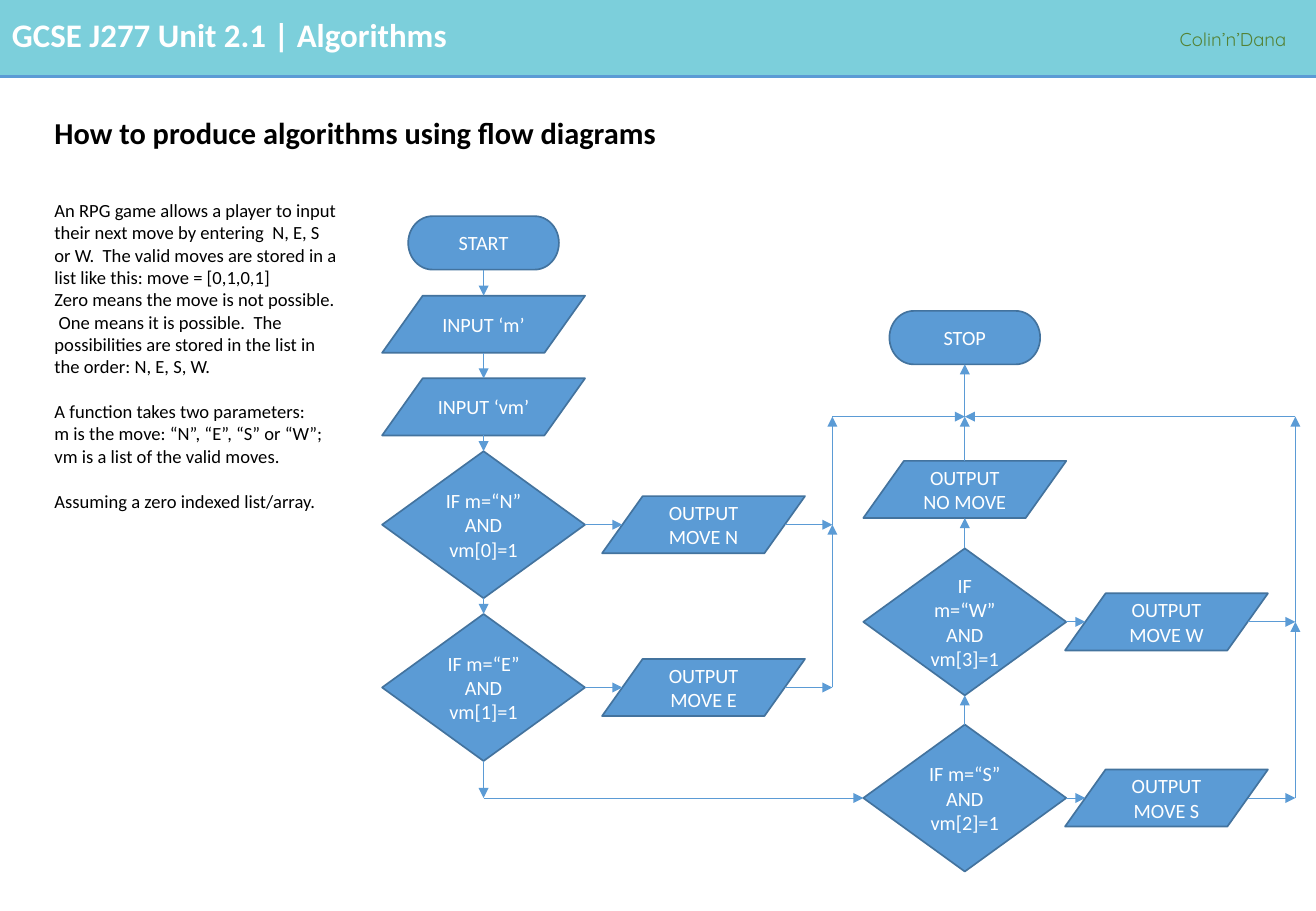
from dataclasses import dataclass
from typing import Union

from lxml.etree import SubElement
from pptx import Presentation
from pptx.dml.color import RGBColor
from pptx.enum.shapes import MSO_CONNECTOR, MSO_SHAPE
from pptx.enum.text import MSO_ANCHOR, PP_ALIGN
from pptx.oxml.ns import qn
from pptx.util import Inches, Pt

BLUE, DARK_BLUE, TEAL = "5B9BD5", "43739E", "7CCFDB"
WHITE, BLACK, GREEN = "FFFFFF", "000000", "548235"
TOP, LEFT, BOTTOM, RIGHT = range(4)

TERMINATOR = MSO_SHAPE.FLOWCHART_TERMINATOR
DATA = MSO_SHAPE.FLOWCHART_DATA
DECISION = MSO_SHAPE.FLOWCHART_DECISION
SIZES = {TERMINATOR: (1.24, 0.44), DATA: (1.67, 0.47), DECISION: (1.67, 1.21)}

# Column centres, merge lines and row centres of the flow diagram
MAIN_X, MOVE_X, MERGE_X = 3.98, 5.79, 6.85
SECOND_X, SECOND_MOVE_X, SECOND_MERGE_X = 7.94, 9.6, 10.66
NORTH_Y, EAST_Y, SOUTH_Y, WEST_Y, JOIN_Y = 4.32, 5.66, 6.57, 5.12, 3.43


@dataclass(frozen=True)
class Node:
    kind: MSO_SHAPE
    x: float
    y: float
    text: str


@dataclass(frozen=True)
class Port:
    node: str
    side: int


@dataclass(frozen=True)
class Point:
    x: float
    y: float


@dataclass(frozen=True)
class Arrow:
    start: Union[Port, Point]
    end: Union[Port, Point]


@dataclass(frozen=True)
class TextBlock:
    box: tuple
    paragraphs: tuple
    font: dict
    color: str
    paragraph_format: dict
    anchor: MSO_ANCHOR = MSO_ANCHOR.TOP
    wrap: bool = True
    gap: float = 0


NODES = {
    "start": Node(TERMINATOR, MAIN_X, 2.0, "START"),
    "input m": Node(DATA, MAIN_X, 2.67, "INPUT ‘m’"),
    "input vm": Node(DATA, MAIN_X, 3.35, "INPUT ‘vm’"),
    "if N": Node(DECISION, MAIN_X, NORTH_Y, "IF m=“N” AND vm[0]=1"),
    "if E": Node(DECISION, MAIN_X, EAST_Y, "IF m=“E” AND vm[1]=1"),
    "if S": Node(DECISION, SECOND_X, SOUTH_Y, "IF m=“S” AND vm[2]=1"),
    "if W": Node(DECISION, SECOND_X, WEST_Y, "IF m=“W” AND vm[3]=1"),
    "move N": Node(DATA, MOVE_X, NORTH_Y, "OUTPUT MOVE N"),
    "move E": Node(DATA, MOVE_X, EAST_Y, "OUTPUT MOVE E"),
    "move S": Node(DATA, SECOND_MOVE_X, SOUTH_Y, "OUTPUT MOVE S"),
    "move W": Node(DATA, SECOND_MOVE_X, WEST_Y, "OUTPUT MOVE W"),
    "no move": Node(DATA, SECOND_X, 4.03, "OUTPUT NO MOVE"),
    "stop": Node(TERMINATOR, SECOND_X, 2.78, "STOP"),
}

JOIN = Point(SECOND_X, JOIN_Y)
TURN = Point(MAIN_X, SOUTH_Y)
DOWNWARD = ("start", "input m", "input vm", "if N", "if E")
UPWARD = ("if S", "if W", "no move")
# Each merge line collects its lower move, then its upper move
MERGES = ((MERGE_X, ("E", EAST_Y), ("N", NORTH_Y)),
          (SECOND_MERGE_X, ("S", SOUTH_Y), ("W", WEST_Y)))

TEXT_BLOCKS = [
    TextBlock((0, 0.07, 9.48, 0.43), ("GCSE J277 Unit 2.1 | Algorithms",),
              {"name": "Calibri", "size": Pt(19.5), "bold": True}, WHITE, {}),
    TextBlock((9.61, 0.17, 1.22, 0.29), ("Colin’n’Dana",),
              {"name": "Quicksand", "size": Pt(11)}, GREEN,
              {"line_spacing": 1.07, "space_after": Pt(8)}, wrap=False),
    TextBlock((0.35, 0.83, 10.1, 0.56),
              ("How to produce algorithms using flow diagrams",),
              {"name": "Calibri", "size": Pt(18), "bold": True}, BLACK,
              {"line_spacing": 0.9}, MSO_ANCHOR.MIDDLE),
    TextBlock((0.35, 1.59, 2.53, 2.69), (
        "An RPG game allows a player to input their next move by entering  N, E, S or W.  "
        "The valid moves are stored in a list like this: move = [0,1,0,1]",
        "Zero means the move is not possible.  One means it is possible.  "
        "The possibilities are stored in the list in the order: N, E, S, W.",
        "A function takes two parameters: \vm is the move: “N”, “E”, “S” or “W”;  "
        "vm is a list of the valid moves.",
        "Assuming a zero indexed list/array."),
        {"name": "Calibri", "size": Pt(11)}, BLACK, {}, gap=13.4),
]


def rgb(color: str) -> RGBColor:
    return RGBColor.from_string(color)


def set_attributes(target, values: dict) -> None:
    for name, value in values.items():
        setattr(target, name, value)


def style_paragraph(paragraph, text: str, font: dict, color: str, layout: dict) -> None:
    paragraph.text = text
    set_attributes(paragraph, layout)
    for run in paragraph.runs:
        set_attributes(run.font, font)
        run.font.color.rgb = rgb(color)


def add_text(slide, block: TextBlock) -> None:
    frame = slide.shapes.add_textbox(*map(Inches, block.box)).text_frame
    set_attributes(frame, {"word_wrap": block.wrap, "vertical_anchor": block.anchor})
    for index, text in enumerate(block.paragraphs):
        paragraph = frame.add_paragraph() if index else frame.paragraphs[0]
        style_paragraph(paragraph, text, block.font, block.color, block.paragraph_format)
        if block.gap and index > 1:
            paragraph.space_before = Pt(block.gap)


def add_filled_shape(slide, kind: MSO_SHAPE, box: tuple, fill: str):
    shape = slide.shapes.add_shape(kind, *map(Inches, box))
    shape.shadow.inherit = False
    shape.fill.solid()
    shape.fill.fore_color.rgb = rgb(fill)
    return shape


def add_node(slide, node: Node):
    width, height = SIZES[node.kind]
    box = (node.x - width / 2, node.y - height / 2, width, height)
    shape = add_filled_shape(slide, node.kind, box, BLUE)
    shape.line.color.rgb = rgb(DARK_BLUE)
    shape.line.width = Pt(1)
    shape.text_frame.vertical_anchor = MSO_ANCHOR.MIDDLE
    style_paragraph(shape.text_frame.paragraphs[0], node.text,
                    {"name": "Calibri", "size": Pt(12)}, WHITE,
                    {"alignment": PP_ALIGN.CENTER})
    return shape


def add_line(slide, start: Point, end: Point, width: float):
    line = slide.shapes.add_connector(
        MSO_CONNECTOR.STRAIGHT, *map(Inches, (start.x, start.y, end.x, end.y)))
    line.line.color.rgb = rgb(BLUE)
    line.line.width = Pt(width)
    SubElement(line._element.spPr, qn("a:effectLst"))
    return line


def locate(place: Union[Port, Point]) -> Point:
    """Give the point of a port; a data shape's slanted sides lie further in."""
    if isinstance(place, Point):
        return place
    node = NODES[place.node]
    width, height = SIZES[node.kind]
    reach = width * (0.4 if node.kind == DATA else 0.5)
    across, down = {TOP: (0, -height / 2), LEFT: (-reach, 0),
                    BOTTOM: (0, height / 2), RIGHT: (reach, 0)}[place.side]
    return Point(node.x + across, node.y + down)


def add_arrow(slide, arrow: Arrow, shapes: dict) -> None:
    line = add_line(slide, locate(arrow.start), locate(arrow.end), 0.5)
    SubElement(line.line._get_or_add_ln(), qn("a:tailEnd"), type="triangle")
    for place, connect in ((arrow.start, line.begin_connect), (arrow.end, line.end_connect)):
        if isinstance(place, Port) and NODES[place.node].kind != DATA:
            connect(shapes[place.node], place.side)


def flow_arrows() -> list[Arrow]:
    arrows = [Arrow(Port(a, BOTTOM), Port(b, TOP)) for a, b in zip(DOWNWARD, DOWNWARD[1:])]
    arrows += [Arrow(Port(a, TOP), Port(b, BOTTOM)) for a, b in zip(UPWARD, UPWARD[1:])]
    arrows += [Arrow(Port("if E", BOTTOM), TURN), Arrow(TURN, Port("if S", LEFT)),
               Arrow(Port("no move", TOP), JOIN), Arrow(JOIN, Port("stop", BOTTOM))]
    for x, *moves in MERGES:
        for move, y in moves:
            arrows += [Arrow(Port(f"if {move}", RIGHT), Port(f"move {move}", LEFT)),
                       Arrow(Port(f"move {move}", RIGHT), Point(x, y))]
        corners = [Point(x, y) for _, y in moves] + [Point(x, JOIN_Y), JOIN]
        arrows += [Arrow(a, b) for a, b in zip(corners, corners[1:])]
    return arrows


def main() -> None:
    presentation = Presentation()
    set_attributes(presentation, {"slide_width": Inches(10.83), "slide_height": Inches(7.5)})
    slide = presentation.slides.add_slide(presentation.slide_layouts[6])
    banner = add_filled_shape(slide, MSO_SHAPE.RECTANGLE, (0, 0, 10.83, 0.63), TEAL)
    banner.line.fill.background()
    add_line(slide, Point(0, 0.63), Point(10.83, 0.63), 2.25)
    for block in TEXT_BLOCKS:
        add_text(slide, block)
    shapes = {name: add_node(slide, node) for name, node in NODES.items()}
    for arrow in flow_arrows():
        add_arrow(slide, arrow, shapes)
    presentation.save("out.pptx")


if __name__ == "__main__":
    main()
